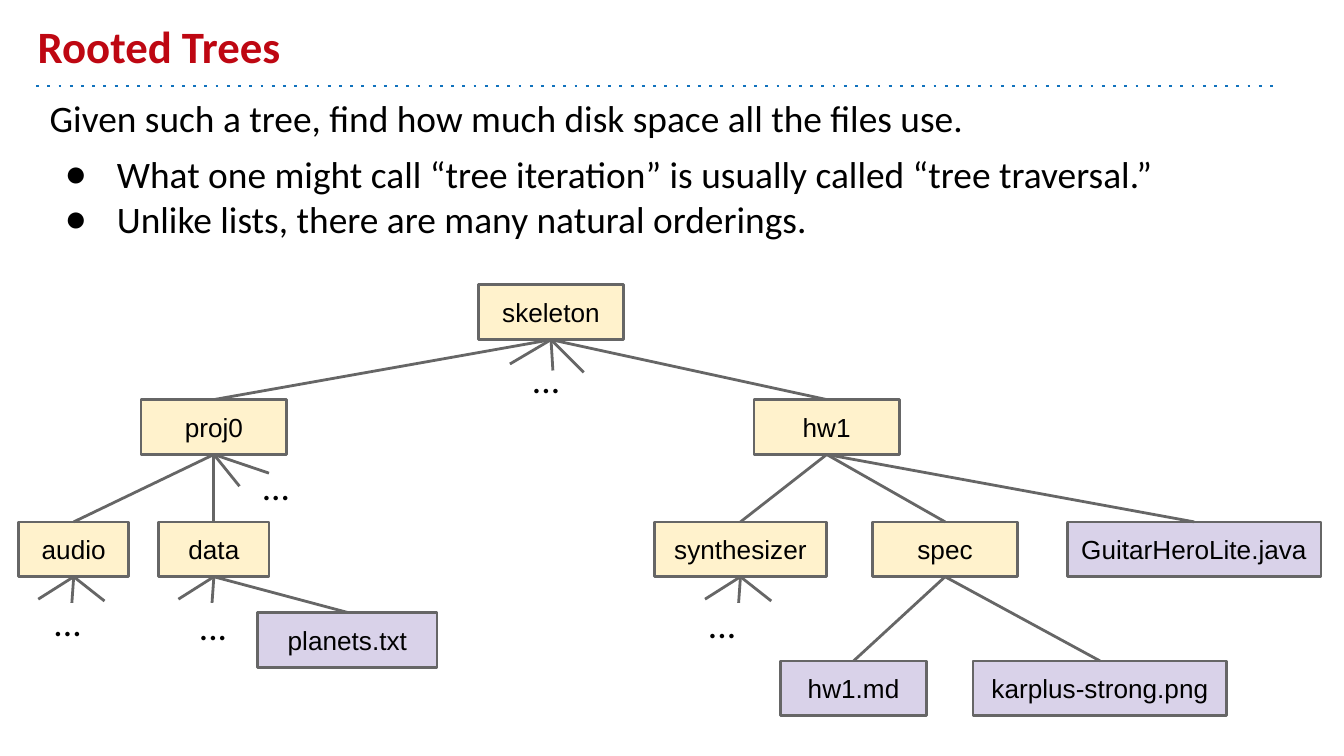
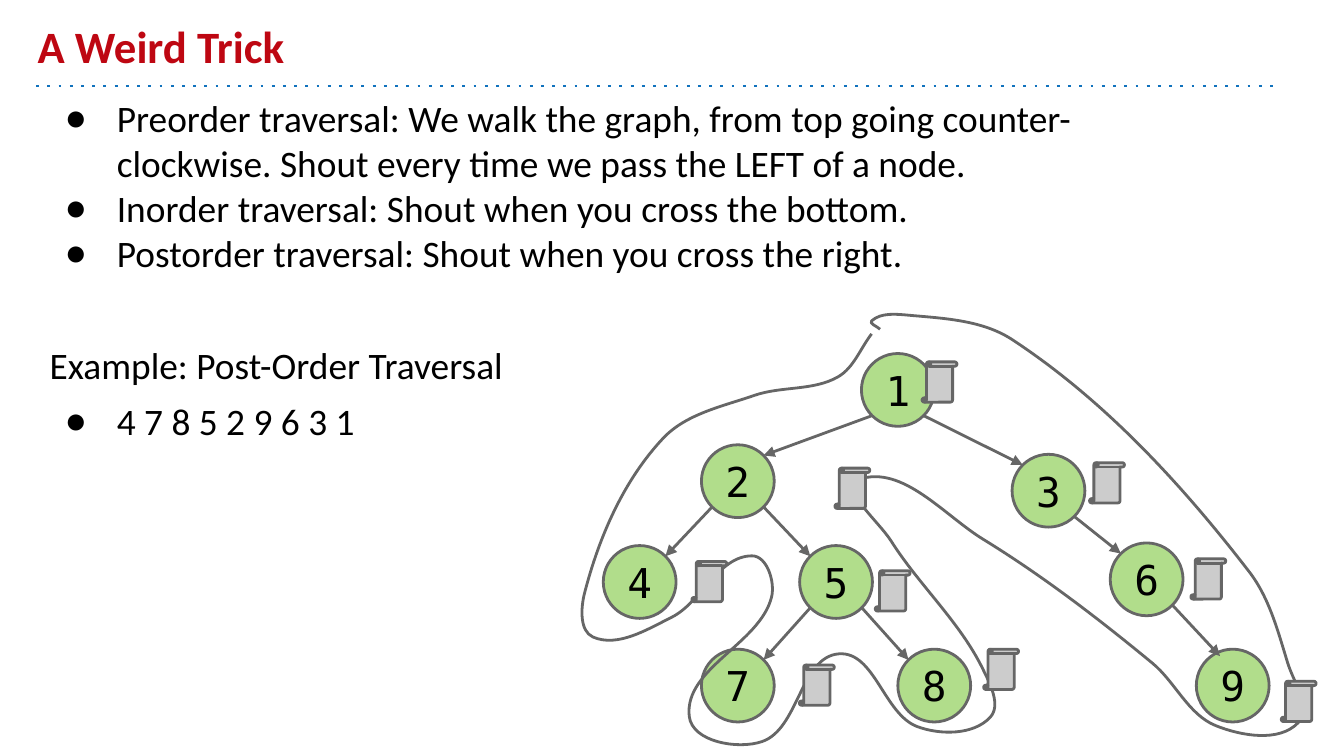
from math import sqrt

from lxml import etree
from pptx import Presentation
from pptx.dml.color import RGBColor
from pptx.enum.shapes import MSO_CONNECTOR as CXN, MSO_SHAPE as SHAPE
from pptx.enum.text import MSO_ANCHOR as ANCHOR, MSO_AUTO_SIZE as AUTO, PP_ALIGN as ALIGN
from pptx.oxml.ns import qn
from pptx.util import Pt

COLORS = {
    "title": "BE0712", "rule": "1072BD", "text": "000000", "line": "666666",
    "folder": "FFF2CC", "file": "D9D2E9", "node": "B1DD8B", "scroll": "CCCCCC",
}
LINE_WIDTH = 1.5
INSET = 7.2
TITLE_BOX = (13, 7.2, 648, 38.9)
BODY_LEFT, BODY_TOP = 19.4, 43.9
BOTTOM, TOP = 2, 0  # connection sites of a rectangle


def color(name):
    return RGBColor.from_string(COLORS[name])


def add_xml(parent, tag, **attrs):
    return etree.SubElement(parent, qn(tag), attrs)


def setup_frame(tf, anchor=ANCHOR.TOP):
    tf.word_wrap = True
    tf.auto_size = AUTO.NONE
    tf.vertical_anchor = anchor
    tf.margin_left = tf.margin_top = tf.margin_right = tf.margin_bottom = Pt(INSET)


def write(tf, text, size=20, font="Calibri", fill="text", bold=False,
          align=ALIGN.LEFT, before=0, bullet=False):
    """Add a paragraph, using the empty first one if there is one."""
    p = tf.paragraphs[0]
    if p.runs:
        p = tf.add_paragraph()
    pPr = p._p.get_or_add_pPr()
    pPr.set("marL", str(Pt(36 if bullet else 0)))
    pPr.set("indent", str(Pt(-28 if bullet else 0)))
    if bullet:
        add_xml(add_xml(pPr, "a:buClr"), "a:srgbClr", val=COLORS[fill])
        add_xml(pPr, "a:buChar", char="●")
    else:
        add_xml(pPr, "a:buNone")
    p.alignment = align
    p.space_before = Pt(before)
    r = p.add_run()
    r.text = text
    r.font.size, r.font.name, r.font.bold = Pt(size), font, bold
    r.font.color.rgb = color(fill)


def style_outline(sp, fill=None):
    sp.shadow.inherit = False
    if fill:
        sp.fill.solid()
        sp.fill.fore_color.rgb = color(fill)
    else:
        sp.fill.background()
    sp.line.color.rgb = color("line")
    sp.line.width = Pt(LINE_WIDTH)


def add_shape(slide, kind, box, fill, text="", **fmt):
    sp = slide.shapes.add_shape(kind, *map(Pt, box))
    style_outline(sp, fill)
    if text:
        setup_frame(sp.text_frame, ANCHOR.MIDDLE)
        write(sp.text_frame, text, align=ALIGN.CENTER, **fmt)
    return sp


def add_line(slide, start, end, stroke="line", arrow=False, dash=None):
    cxn = slide.shapes.add_connector(CXN.STRAIGHT, *map(Pt, (*start, *end)))
    cxn.line.color.rgb = color(stroke)
    cxn.line.width = Pt(LINE_WIDTH)
    ln = cxn.line._get_or_add_ln()
    if dash:
        add_xml(ln, "a:prstDash", val=dash)
    if arrow:
        add_xml(ln, "a:tailEnd", type="triangle")
    add_xml(cxn._element.spPr, "a:effectLst")
    return cxn


def place(sp, box):
    sp.left, sp.top, sp.width, sp.height = map(Pt, box)


def add_slide(prs, title, body, width, height):
    """Add a slide with its title and body; body is a list of (text, format)."""
    slide = prs.slides.add_slide(prs.slide_layouts[1])
    heading, content = slide.placeholders
    place(heading, TITLE_BOX)
    setup_frame(heading.text_frame, ANCHOR.BOTTOM)
    write(heading.text_frame, title, size=24, fill="title", bold=True)
    place(content, (BODY_LEFT, BODY_TOP, width, height))
    setup_frame(content.text_frame)
    for text, fmt in body:
        write(content.text_frame, text, **fmt)
    return slide


def add_layout_rule(slide):
    """Put the dotted rule under the title on the layout, for all slides."""
    rule = add_line(slide, (19.4, 46.1), (684, 46.1), stroke="rule", dash="dot")
    slide.slide_layout.shapes._spTree.append(rule._element)


ENTRY_HEIGHT = 29.4
SHORT, MEDIUM, LONG = 59, 78, 136
# top of a level: {name: (centre, width)}
LEVELS = {
    0: {"skeleton": (285.2, MEDIUM)},
    61.5: {"proj0": (104.6, MEDIUM), "hw1": (432.9, MEDIUM)},
    127: {"audio": (29.5, SHORT), "data": (104.6, SHORT), "synthesizer": (386.7, 92),
          "spec": (496.3, MEDIUM), "GuitarHeroLite.java": (629.7, LONG)},
    175.5: {"planets.txt": (176.1, 96)},
    201.5: {"hw1.md": (447.3, MEDIUM), "karplus-strong.png": (579.3, LONG)},
}
CHILDREN = {
    "skeleton": ["proj0", "hw1"],
    "proj0": ["audio", "data"],
    "hw1": ["synthesizer", "spec", "GuitarHeroLite.java"],
    "data": ["planets.txt"],
    "spec": ["hw1.md", "karplus-strong.png"],
}
# Stubs stand for entries not shown; offsets are from the middle of the bottom side
FAN = [(-19, 12), (-1, 14), (16.5, 13)]
STUBS = {  # parent: (ends of the stubs, corner of the dots)
    "skeleton": ([(-22, 13), (1, 16.5), (17.5, 17.5)], (-17.3, 2)),
    "proj0": ([(13.7, 17), (29.5, 10)], (18.6, -2.4)),
    "audio": (FAN, (-17.9, 5.2)),
    "data": (FAN[:2], (-15.1, 7.4)),
    "synthesizer": (FAN, (-24.5, 6)),
}


def add_file_tree(slide, left, top):
    boxes, bottoms = {}, {}
    for level, entries in LEVELS.items():
        for name, (centre, width) in entries.items():
            x, y = left + centre, top + level
            fill = "file" if "." in name else "folder"
            boxes[name] = add_shape(
                slide, SHAPE.RECTANGLE, (x - width / 2, y, width, ENTRY_HEIGHT),
                fill, name, size=14, font="Arial")
            bottoms[name] = (x, y + ENTRY_HEIGHT)
    for parent, names in CHILDREN.items():
        for name in names:
            cxn = add_line(slide, bottoms[parent], bottoms[name])
            cxn.begin_connect(boxes[parent], BOTTOM)
            cxn.end_connect(boxes[name], TOP)
    for parent, (ends, (dots_x, dots_y)) in STUBS.items():
        x, y = bottoms[parent]
        for dx, dy in ends:
            cxn = add_line(slide, (x, y), (x + dx, y + dy))
            cxn.begin_connect(boxes[parent], BOTTOM)
        dots = slide.shapes.add_textbox(*map(Pt, (x + dots_x, y + dots_y, 43.2, 13.7)))
        setup_frame(dots.text_frame)
        write(dots.text_frame, "...")


NODE_SIZE = 39
RADIUS = NODE_SIZE / 2
STEP = 52.6  # sideways from a parent to its child
ROOT, ROOT_CENTRE = 1, (167.8, 39.7)
# child: (parent, right, down)
PARENTS = {
    2: (1, -85.7, 48.9), 3: (1, 80.7, 54),
    4: (2, -STEP, 54), 5: (2, STEP, 54), 6: (3, STEP, 47.5),
    7: (5, -STEP, 55.5), 8: (5, STEP, 55.5), 9: (6, 46.1, 56.9),
}
ARROW_SHIFT = {9: (7, -2)}  # moves the arrow's end along the rim of the child
SCROLL_SIZE = (18.7, 21.6)
# node: top left of its scroll, from the node's centre
SCROLLS = {
    1: (13, -15), 2: (52, -7), 4: (28, -11), 5: (21, -6), 7: (33, -11),
    8: (26.5, -19.5), 3: (22, -15), 6: (23.7, -11), 9: (26, -2.3),
}
# The walk in visiting order: node, points it passes (right and down of the centre)
WALK = [
    (1, [(-14, -30), (-32, -7)]),
    (2, [(9, -46), (-40, -23)]),
    (4, [(-29.5, 6), (-25, 29.5), (17, 19)]),
    (5, [(-45, -14), (-34.5, 8)]),
    (7, [(-26, 16.5), (13, 30)]),
    (8, [(-51, -17), (-9, 22), (30, 17), (26, -9)]),
    (5, [(29.5, -22)]),
    (2, [(65, -1)]),
    (3, [(-35, 26)]),
    (9, [(-43, -12), (-9, 21.5), (35, 20), (29.5, -12)]),
    (6, [(55, -4)]),
    (3, [(-19.5, -81)]),
    (1, [(6, -40), (-14, -37), (-9.5, -32.5)]),
]


def smooth_controls(points):
    """Return the Bezier points, three per segment, of a curve through points.

    Points are complex numbers. The curve leaves each point in a direction
    between its two chords, and each handle is a third of its chord long.
    """
    chords = [b - a for a, b in zip(points, points[1:])]
    pulls = [c / sqrt(abs(c)) for c in chords]
    tangents = [a + b for a, b in zip([0, *pulls], [*pulls, 0])]
    units = [t / abs(t) for t in tangents]
    controls = []
    for i, chord in enumerate(chords):
        reach = abs(chord) / 3
        controls += [points[i] + reach * units[i],
                     points[i + 1] - reach * units[i + 1], points[i + 1]]
    return controls


def add_curve(slide, points):
    """Draw a smooth line, turning each three line segments into one curve."""
    start, *controls = [(Pt(z.real), Pt(z.imag))
                        for z in [points[0], *smooth_controls(points)]]
    builder = slide.shapes.build_freeform(*start)
    builder.add_line_segments(controls, close=False)
    sp = builder.convert_to_shape()
    style_outline(sp)
    outline = next(sp._element.iter(qn("a:path")))
    segments = outline.findall(qn("a:lnTo"))
    for i in range(0, len(segments), 3):
        curve = add_xml(outline, "a:cubicBezTo")
        for segment in segments[i:i + 3]:
            curve.append(segment[0])
            outline.remove(segment)


def add_traversal(slide, left, top):
    centres = {ROOT: (left + ROOT_CENTRE[0], top + ROOT_CENTRE[1])}
    for child, (parent, dx, dy) in PARENTS.items():
        x, y = centres[parent]
        centres[child] = (x + dx, y + dy)
    for label, (x, y) in centres.items():
        add_shape(slide, SHAPE.OVAL, (x - RADIUS, y - RADIUS, NODE_SIZE, NODE_SIZE),
                  "node", str(label), size=22, font="DejaVu Sans Mono")

    rim = RADIUS / sqrt(2)
    for child, (parent, dx, _) in PARENTS.items():
        (x1, y1), (x2, y2) = centres[parent], centres[child]
        side = rim if dx > 0 else -rim
        shift_x, shift_y = ARROW_SHIFT.get(child, (0, 0))
        add_line(slide, (x1 + side, y1 + rim),
                 (x2 - side + shift_x, y2 - rim + shift_y), arrow=True)

    add_curve(slide, [complex(*centres[node]) + complex(*offset)
                      for node, offsets in WALK for offset in offsets])
    for node, (dx, dy) in SCROLLS.items():
        x, y = centres[node]
        add_shape(slide, SHAPE.VERTICAL_SCROLL, (x + dx, y + dy, *SCROLL_SIZE), "scroll")


def main():
    prs = Presentation()
    prs.slide_width, prs.slide_height = Pt(720), Pt(405)
    item = {"bullet": True}
    spaced_item = {"bullet": True, "before": 6}

    slide = add_slide(prs, "Rooted Trees", [
        ("Given such a tree, find how much disk space all the files use.", {}),
        ("What one might call “tree iteration” is usually called “tree traversal.”",
         spaced_item),
        ("Unlike lists, there are many natural orderings.", item),
    ], 664.6, 103.7)
    add_layout_rule(slide)
    add_file_tree(slide, left=10, top=152.6)

    slide = add_slide(prs, "A Weird Trick", [
        ("Preorder traversal: We walk the graph, from top going counter-clockwise. "
         "Shout every time we pass the LEFT of a node.", item),
        ("Inorder traversal: Shout when you cross the bottom.", item),
        ("Postorder traversal: Shout when you cross the right.", item),
        ("Example: Post-Order Traversal", {"before": 36}),
        ("4 7 8 5 2 9 6 3 1", spaced_item),
    ], 637.2, 206.6)
    add_traversal(slide, left=313.2, top=169.2)

    prs.save("out.pptx")


if __name__ == "__main__":
    main()
